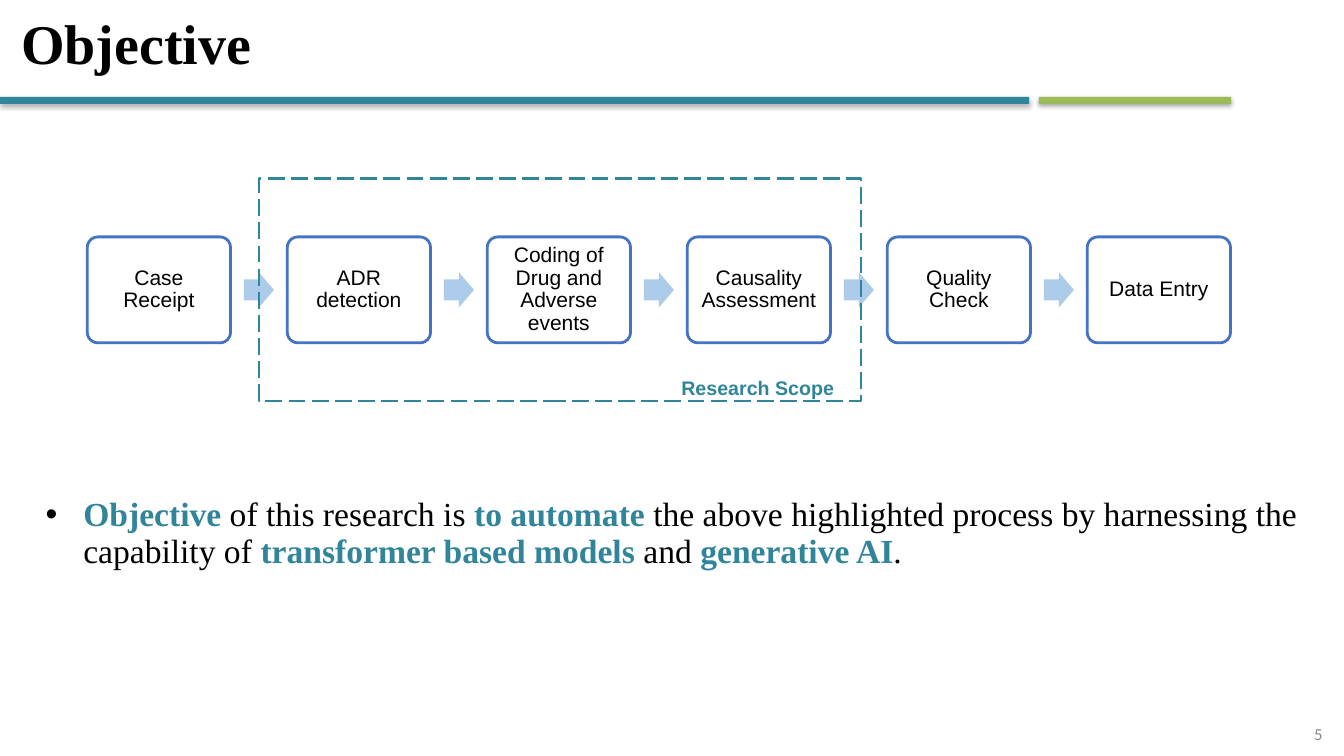
from lxml import etree
from pptx import Presentation
from pptx.dml.color import RGBColor
from pptx.enum.dml import MSO_LINE
from pptx.enum.shapes import MSO_SHAPE
from pptx.enum.text import MSO_ANCHOR, MSO_AUTO_SIZE, PP_ALIGN
from pptx.oxml.ns import qn
from pptx.util import Cm, Pt

TEAL = RGBColor(0x31, 0x85, 0x9B)
GREEN = RGBColor(0x9B, 0xBB, 0x59)
BLUE = RGBColor(0x44, 0x72, 0xC4)
LIGHT_BLUE = RGBColor(0x5B, 0x9B, 0xD5)
BLACK = RGBColor(0, 0, 0)
WHITE = RGBColor(0xFF, 0xFF, 0xFF)
GREY = RGBColor(0x88, 0x88, 0x88)

RECTANGLE = MSO_SHAPE.RECTANGLE
ROUNDED = MSO_SHAPE.ROUNDED_RECTANGLE
ARROW = MSO_SHAPE.RIGHT_ARROW
LONG_DASH = MSO_LINE.LONG_DASH
MIDDLE = MSO_ANCHOR.MIDDLE
NO_FIT = MSO_AUTO_SIZE.NONE
LEFT, CENTER, RIGHT = PP_ALIGN.LEFT, PP_ALIGN.CENTER, PP_ALIGN.RIGHT

SERIF, SANS, NUMBER_FONT = "Times New Roman", "Arial", "Calibri"

STEPS = [
    "Case Receipt",
    "ADR detection",
    "Coding of Drug and Adverse events",
    "Causality Assessment",
    "Quality Check",
    "Data Entry",
]
OBJECTIVE = [
    ("Objective", True),
    (" of this research is ", False),
    ("to automate ", True),
    ("the above highlighted process by harnessing the capability of ", False),
    ("transformer based models ", True),
    ("and ", False),
    ("generative AI", True),
    (".", False),
]


def place(shape, box):
    shape.left, shape.top, shape.width, shape.height = (Cm(v) for v in box)


def add_run(paragraph, text, size, font_name, color, bold=False):
    run = paragraph.add_run()
    run.text = text
    run.font.size = Pt(size)
    run.font.name = font_name
    run.font.bold = bold
    run.font.color.rgb = color


def add_block(slide, kind, box, fill=None, line=None, weight=1):
    block = slide.shapes.add_shape(kind, *(Cm(v) for v in box))
    block.shadow.inherit = False
    if fill is None:
        block.fill.background()
    else:
        block.fill.solid()
        block.fill.fore_color.rgb = fill
    if line is None:
        block.line.fill.background()
    else:
        block.line.color.rgb = line
        block.line.width = Pt(weight)
    return block


def add_text_frame(slide, box):
    frame = slide.shapes.add_textbox(*(Cm(v) for v in box)).text_frame
    frame.word_wrap = True
    return frame


def add_alpha(color, percent):
    etree.SubElement(color, qn("a:alpha"), val=str(percent * 1000))


def add_drop_shadow(bar):
    effects = bar._element.spPr.find(qn("a:effectLst"))
    shadow = etree.SubElement(effects, qn("a:outerShdw"), blurRad="40000",
                              dist="23000", dir="5400000", rotWithShape="0")
    add_alpha(etree.SubElement(shadow, qn("a:srgbClr"), val=str(BLACK)), 35)


def add_header(slide, box):
    left, top, width, height = box
    bar_top, bar_height, gap, green_width = top + 2.44, 0.18, 0.24, 4.85
    teal_width = width - gap - green_width
    for bar_left, bar_width, color in (
        (left + teal_width + gap, green_width, GREEN),
        (left, teal_width, TEAL),
    ):
        bar_box = (bar_left, bar_top, bar_width, bar_height)
        add_drop_shadow(add_block(slide, RECTANGLE, bar_box, color))

    title = slide.shapes.title
    place(title, (left + 0.28, top + 0.18, width - 0.28, 2))
    frame = title.text_frame
    frame.auto_size = NO_FIT
    frame.vertical_anchor = MIDDLE
    heading = frame.paragraphs[0]
    heading.alignment = LEFT
    heading.line_spacing = 0.9
    add_run(heading, "Objective", 40, SERIF, BLACK, True)


def add_process(slide, box):
    left, top, width, height = box
    step_width, arrow_width, arrow_height = 3.61, 0.76, 0.89
    pitch = (width - step_width) / (len(STEPS) - 1)
    arrow_offset = (step_width + pitch - arrow_width) / 2
    for index, label in enumerate(STEPS):
        step_left = left + index * pitch
        step = add_block(slide, ROUNDED, (step_left, top, step_width, height),
                         WHITE, BLUE, 2)
        step.adjustments[0] = 0.1
        frame = step.text_frame
        frame.word_wrap = True
        frame.vertical_anchor = MIDDLE
        frame.margin_left = frame.margin_right = Cm(0.23)
        frame.margin_top = frame.margin_bottom = Cm(0.23)
        paragraph = frame.paragraphs[0]
        paragraph.alignment = CENTER
        paragraph.line_spacing = 0.9
        add_run(paragraph, label, 15, SANS, BLACK)
        if index < len(STEPS) - 1:
            arrow_box = (step_left + arrow_offset, top + (height - arrow_height) / 2,
                         arrow_width, arrow_height)
            arrow = add_block(slide, ARROW, arrow_box, LIGHT_BLUE)
            arrow.adjustments[0] = 0.6
            arrow.adjustments[1] = 0.5
            add_alpha(arrow._element.spPr.find(qn("a:solidFill"))[0], 50)


def add_scope(slide, box):
    left, top, width, height = box
    scope = add_block(slide, RECTANGLE, box, line=TEAL, weight=1.5)
    scope.line.dash_style = LONG_DASH
    frame = add_text_frame(slide, (left + width - 4.77, top + height - 0.76, 5.79, 0.86))
    add_run(frame.paragraphs[0], "Research Scope", 14, SANS, TEAL, True)


def add_objective(slide, box):
    paragraph = add_text_frame(slide, box).paragraphs[0]
    paragraph.line_spacing = 0.9
    properties = paragraph._p.get_or_add_pPr()
    properties.set("marL", str(Cm(1.27)))
    properties.set("indent", str(Cm(-0.95)))
    bullet_color = etree.SubElement(properties, qn("a:buClr"))
    etree.SubElement(bullet_color, qn("a:srgbClr"), val=str(BLACK))
    etree.SubElement(properties, qn("a:buFont"), typeface=SANS)
    etree.SubElement(properties, qn("a:buChar"), char="•")
    for text, highlighted in OBJECTIVE:
        add_run(paragraph, text, 24, SERIF, TEAL if highlighted else BLACK, highlighted)


def add_slide_number(slide, box):
    frame = add_text_frame(slide, box)
    frame.vertical_anchor = MIDDLE
    paragraph = frame.paragraphs[0]
    paragraph.alignment = RIGHT
    add_run(paragraph, "5", 12, NUMBER_FONT, GREY)


def main():
    deck = Presentation()
    deck.slide_width, deck.slide_height = Cm(33.87), Cm(19.05)
    slide = deck.slides.add_slide(deck.slide_layouts[5])
    add_header(slide, (0, 0, 31.03, 2.62))
    add_process(slide, (2.2, 5.97, 28.81, 2.67))
    add_scope(slide, (6.53, 4.5, 15.16, 5.61))
    add_objective(slide, (0.58, 12.42, 32.64, 2.2))
    add_slide_number(slide, (25.96, 18.11, 7.62, 0.76))
    deck.save("out.pptx")


if __name__ == "__main__":
    main()
